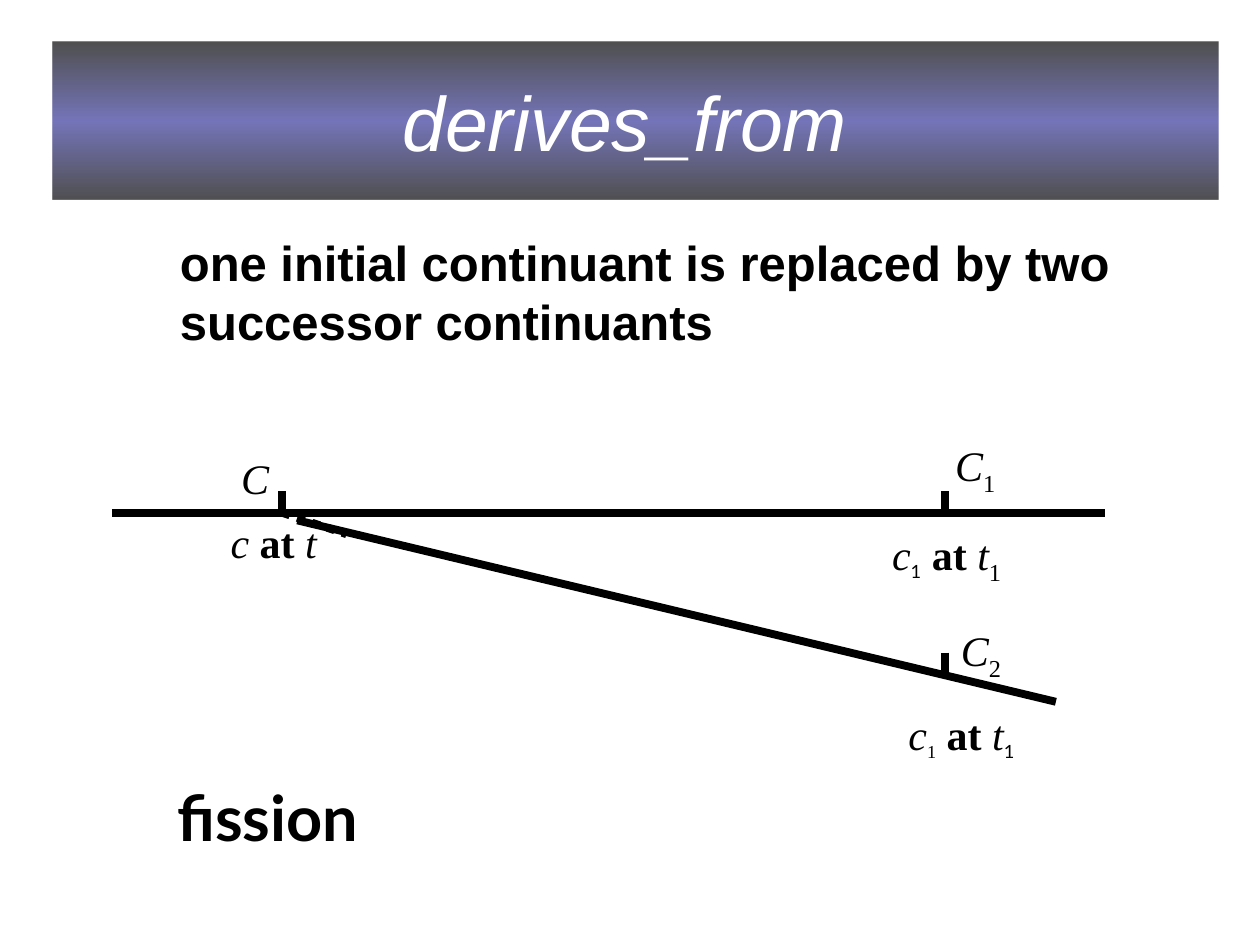
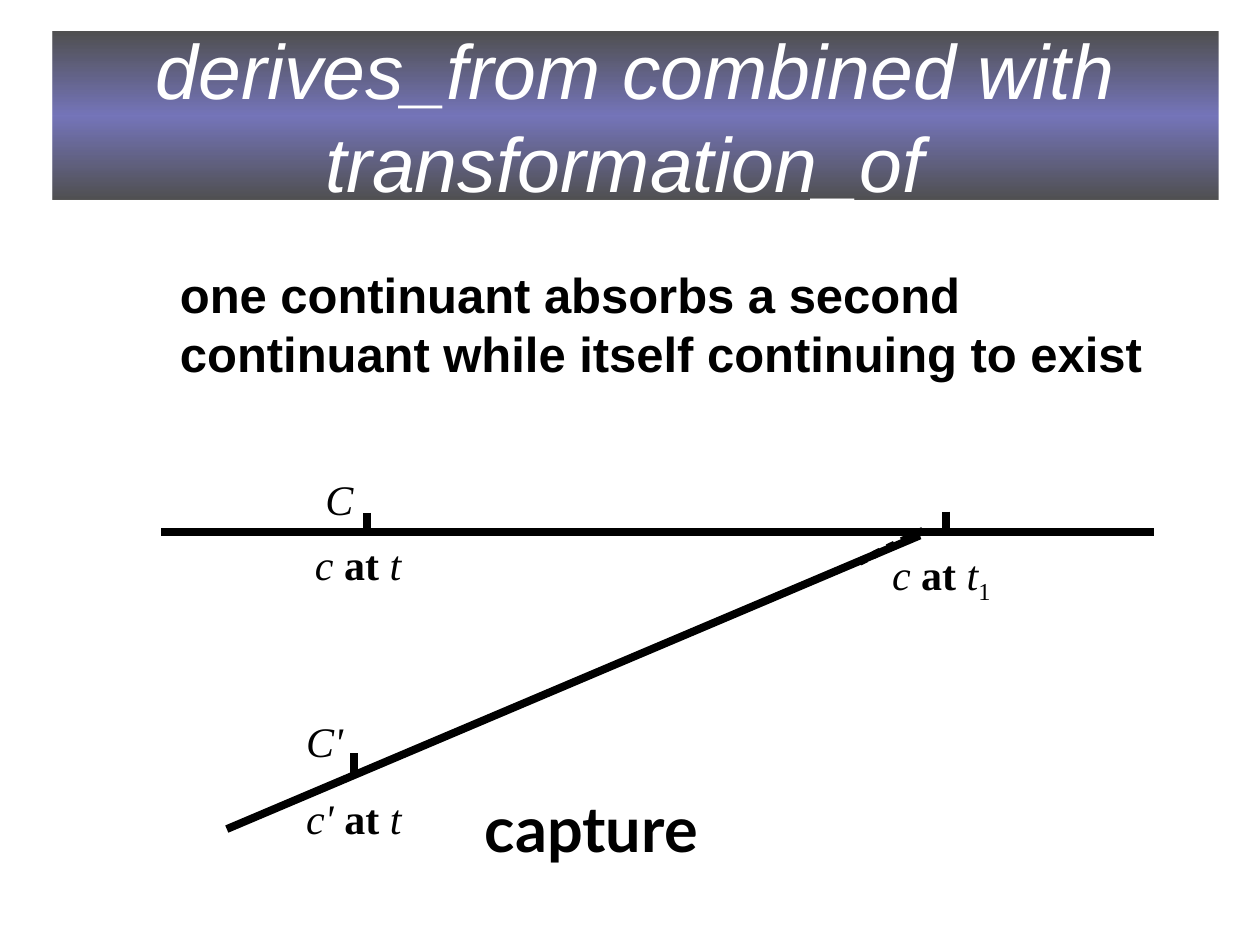
from lxml import etree
from pptx import Presentation, util as u
from pptx.dml.color import RGBColor
from pptx.enum import dml, shapes, text
from pptx.oxml.ns import qn

PX = 9144
INK = "000000"
WHITE = "FFFFFF"
BAND_STOPS = [(0, INK, 68), (50, "333399", 67), (100, INK, 68)]
LINE_WIDTH = 4.5
TICK_HEIGHT = 17

STYLES = {
    "title": dict(size=44, name="Arial", color=WHITE, italic=True),
    "statement": dict(size=28, name="Arial", bold=True),
    "caption": dict(size=36, name="Lato", bold=True),
    "symbol": dict(size=24, italic=True),
    "word": dict(size=24, bold=True),
    "index": dict(size=24, baseline=-25),
    "small index": dict(size=18, baseline=-25),
    "Lato index": dict(size=18, name="Lato", baseline=-25),
}


def rgb(color):
    """Turn a hex string into a colour."""
    return RGBColor.from_string(color)


def px(*lengths):
    """Turn pixel lengths into EMU."""
    return [u.Emu(length * PX) for length in lengths]


def add_run(paragraph, wording, style):
    """Append one run in a named style."""
    look = STYLES[style]
    run = paragraph.add_run()
    run.text = wording
    run.font.size = u.Pt(look["size"])
    run.font.name = look.get("name", "Times New Roman")
    run.font.bold = look.get("bold", False)
    run.font.italic = look.get("italic", False)
    run.font.color.rgb = rgb(look.get("color", INK))
    if "baseline" in look:
        run._r.get_or_add_rPr().set("baseline", str(look["baseline"] * 1000))


def add_text(slide, box, paragraphs, insets=(10, 5), gap=0, indent=0):
    """Add a text box whose first paragraph may be indented and spaced."""
    frame = slide.shapes.add_textbox(*px(*box)).text_frame
    frame.word_wrap = True
    frame.margin_left, frame.margin_top = px(*insets)
    frame.margin_right, frame.margin_bottom = px(*insets)
    for number, runs in enumerate(paragraphs):
        paragraph = frame.add_paragraph() if number else frame.paragraphs[0]
        if number == 0:
            paragraph.space_after = u.Pt(gap)
            paragraph._p.get_or_add_pPr().set("marL", str(u.Pt(indent)))
        for wording, style in runs:
            add_run(paragraph, wording, style)


def add_line(slide, start, end, dotted=False):
    """Draw a thick straight line."""
    line = slide.shapes.add_connector(
        shapes.MSO_CONNECTOR.STRAIGHT, *px(*start, *end))
    line.line.width = u.Pt(LINE_WIDTH)
    line.line.color.rgb = rgb(INK)
    if dotted:
        line.line.dash_style = dml.MSO_LINE.ROUND_DOT
    etree.SubElement(line._element.spPr, qn("a:effectLst"))


def fill_band(shape):
    """Give a shape the translucent vertical gradient."""
    shape.fill.gradient()
    shape.fill.gradient_angle = 90
    stops = shape._element.spPr.find(qn("a:gradFill")).find(qn("a:gsLst"))
    for stop in list(stops):
        stops.remove(stop)
    for position, color, opacity in BAND_STOPS:
        stop = etree.SubElement(stops, qn("a:gs"), pos=str(position * 1000))
        tone = etree.SubElement(stop, qn("a:srgbClr"), val=color)
        etree.SubElement(tone, qn("a:alpha"), val=str(opacity * 1000))


def format_title(slide, box, wording):
    """Turn the title placeholder into the gradient band."""
    title = slide.shapes.title
    title.left, title.top, title.width, title.height = px(*box)
    fill_band(title)
    frame = title.text_frame
    frame.auto_size = text.MSO_AUTO_SIZE.NONE
    frame.word_wrap = True
    frame.vertical_anchor = text.MSO_ANCHOR.MIDDLE
    frame.paragraphs[0].alignment = text.PP_ALIGN.CENTER
    add_run(frame.paragraphs[0], wording, "title")


def draw_diagram(slide, origin, timeline, branch, junction, ticks, labels):
    """Draw the continuants' lines, time ticks and labels from an origin."""
    left, top = origin

    def place(point):
        """Shift a point by the origin."""
        return left + point[0], top + point[1]

    for start, end in (timeline, branch):
        add_line(slide, place(start), place(end))
    add_line(slide, *map(place, junction), dotted=True)
    for x, y in ticks:
        add_line(slide, place((x, y)), place((x, y + TICK_HEIGHT)))
    for (x, y, width, height), gap, indent, paragraphs in labels:
        add_text(slide, (*place((x, y)), width, height), paragraphs,
                 (8, 4), gap, indent)


def instance(name, time="t", name_index=None, time_index=None):
    """Return the runs that say a continuant exists at a time."""
    runs = [(name, "symbol")]
    if name_index:
        runs.append(("1", name_index))
    runs += [(" ", "symbol"), ("at ", "word"), (time, "symbol")]
    if time_index:
        runs.append(("1", time_index))
    return runs


def build_slide(presentation, band, title, statement_top, statement,
                caption_at, caption, diagram):
    """Build one slide of a title band, statement, diagram and caption."""
    slide = presentation.slides.add_slide(presentation.slide_layouts[5])
    format_title(slide, band, title)
    add_text(slide, (133, statement_top, 800, 103),
             [[(statement, "statement")]])
    draw_diagram(slide, **diagram)
    add_text(slide, (*caption_at, 375, 70), [[(caption, "caption")]])


FISSION = dict(
    origin=(89, 345),
    timeline=((0, 62), (788, 62)),
    branch=((147, 68), (749, 212)),
    junction=((135, 62), (186, 79)),
    ticks=[(135, 45), (661, 45), (661, 173)],
    labels=[
        ((86, 10, 106, 112), 8, 6, [[("C", "symbol")], instance("c")]),
        ((611, 0, 120, 152), 18, 36,
         [[("C", "symbol"), ("1", "index")],
          instance("c", "t", "Lato index", "index")]),
        ((624, 147, 163, 117), 15, 30,
         [[("C", "symbol"), ("2", "index")],
          instance("c", "t", "small index", "Lato index")]),
    ],
)

CAPTURE = dict(
    origin=(128, 363),
    timeline=((0, 59), (788, 59)),
    branch=((52, 295), (602, 62)),
    junction=((554, 83), (605, 58)),
    ticks=[(163, 44), (623, 43), (153, 235)],
    labels=[
        ((114, 9, 106, 112), 8, 6, [[("C", "symbol")], instance("c")]),
        ((572, 68, 120, 66), 0, 0,
         [instance("c", "t", time_index="index")]),
        ((107, 201, 163, 109), 15, 0, [[("C'", "symbol")], instance("c'")]),
    ],
)


def main():
    """Build and save the presentation."""
    presentation = Presentation()
    presentation.slide_width, presentation.slide_height = px(1000, 750)
    build_slide(
        presentation, (42, 33, 925, 125), "derives_from ", 180,
        "one initial continuant is replaced by two successor continuants",
        (131, 613), "fission", FISSION)
    build_slide(
        presentation, (42, 25, 925, 133),
        "derives_from combined with transformation_of ", 205,
        "one continuant absorbs a second continuant while itself "
        "continuing to exist",
        (375, 622), "capture", CAPTURE)
    presentation.save("out.pptx")


if __name__ == "__main__":
    main()
